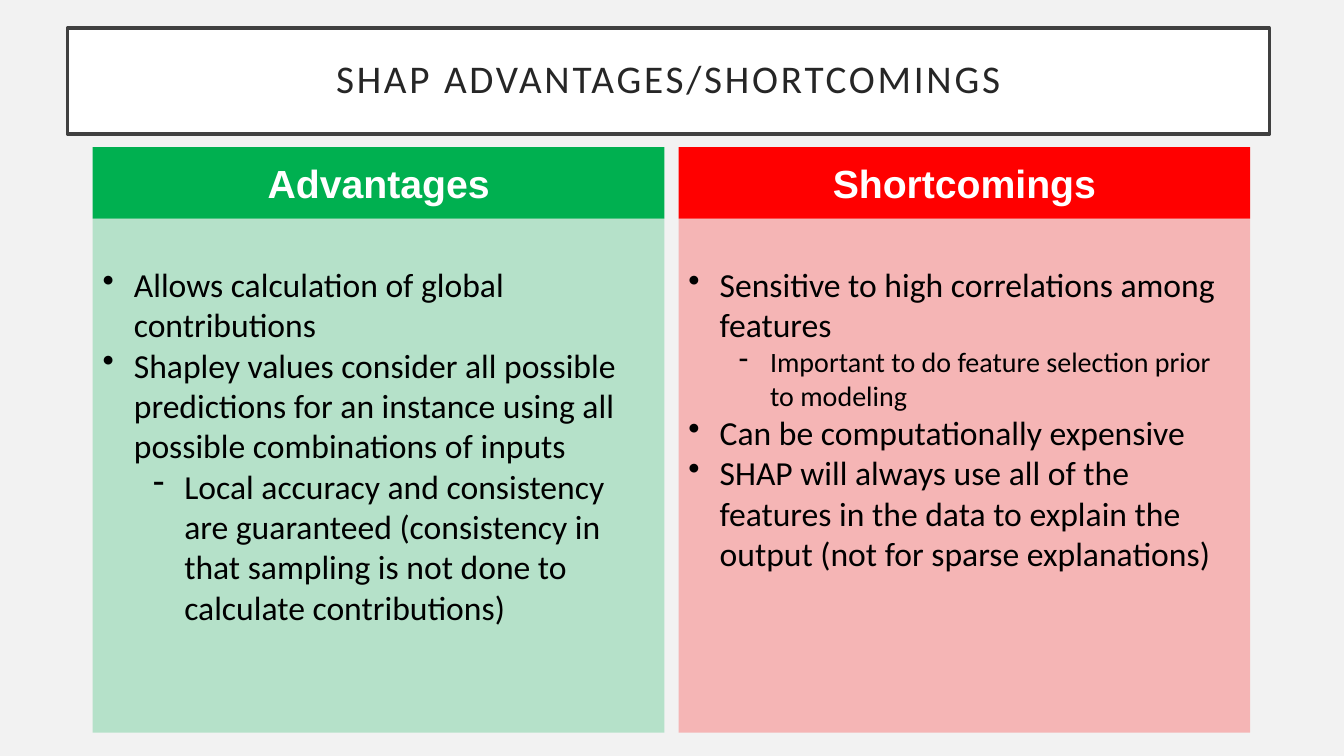
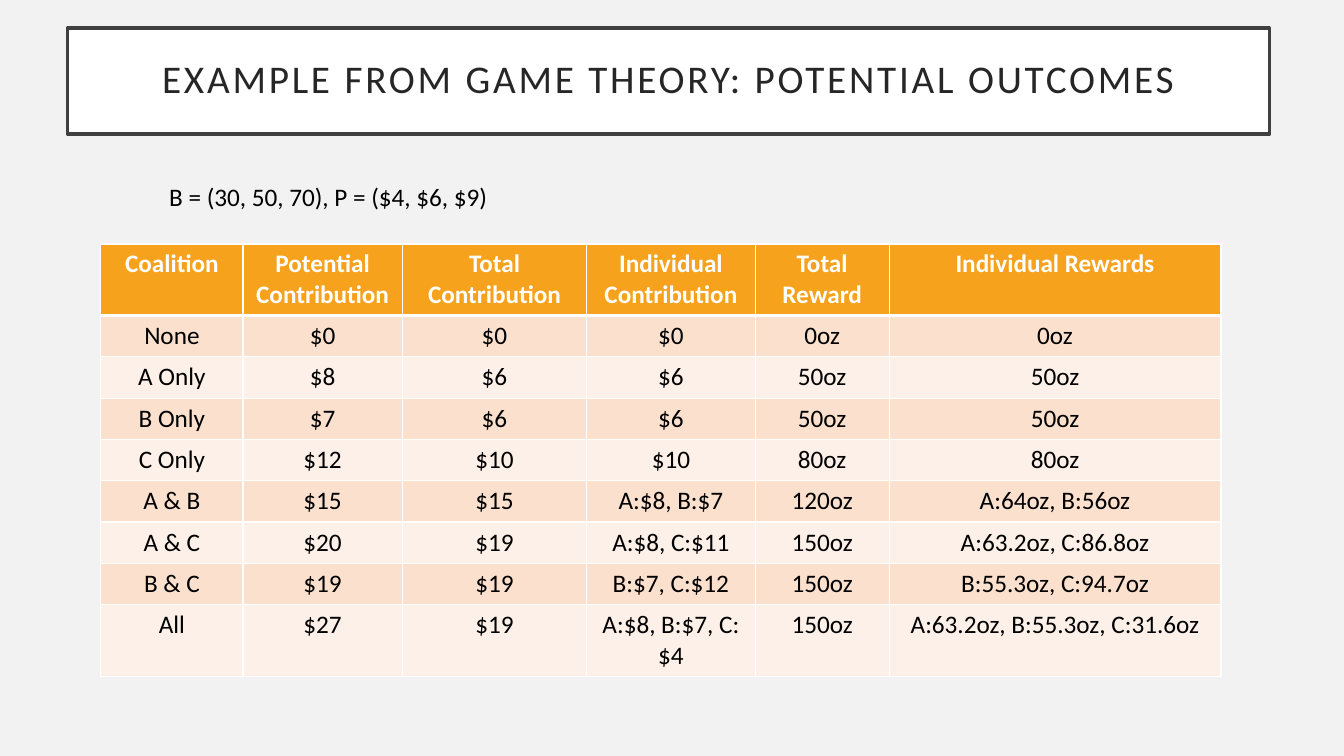
from dataclasses import dataclass
from typing import Any

from lxml.etree import SubElement
from pptx import Presentation
from pptx.dml.color import RGBColor
from pptx.enum.shapes import MSO_SHAPE
from pptx.enum.text import MSO_ANCHOR, PP_ALIGN
from pptx.oxml.ns import qn
from pptx.util import Inches, Pt

COLORS = {
    "background": "F2F2F2",
    "white": "FFFFFF",
    "black": "000000",
    "title": "262626",
    "frame": "404040",
    "advantage": "00B050",
    "shortcoming": "FF0000",
    "table_header": "F6A21D",
    "band_dark": "FBE0CD",
    "band_light": "FDF0E8",
}

TITLE_FONT = {"name": "Calibri", "size": Pt(28), "bold": False}
HEADING_FONT = {"name": "Arial", "size": Pt(28), "bold": True}
POINT_FONT = {"name": "Calibri", "size": Pt(24), "bold": False}
SMALL_POINT_FONT = POINT_FONT | {"size": Pt(20)}
CELL_FONT = {"name": "Calibri", "size": Pt(18), "bold": False}
HEADER_FONT = CELL_FONT | {"bold": True}

PANEL_LEFT, PANEL_WIDTH, PANEL_GAP = 0.92, 5.67, 0.14
HEADING_TOP, HEADING_HEIGHT, BODY_HEIGHT = 1.46, 0.71, 5.1

COLUMN_WIDTHS = (1.41, 1.58, 1.83, 1.67, 1.33, 3.29)
ROW_HEIGHT, TALL_ROW_HEIGHT = 0.41, 0.71
OUTCOMES = (
    ("Coalition", "Potential Contribution", "Total Contribution",
     "Individual Contribution", "Total Reward", "Individual Rewards"),
    ("None", "$0", "$0", "$0", "0oz", "0oz"),
    ("A Only", "$8", "$6", "$6", "50oz", "50oz"),
    ("B Only", "$7", "$6", "$6", "50oz", "50oz"),
    ("C Only", "$12", "$10", "$10", "80oz", "80oz"),
    ("A & B", "$15", "$15", "A:$8, B:$7", "120oz", "A:64oz, B:56oz"),
    ("A & C", "$20", "$19", "A:$8, C:$11", "150oz", "A:63.2oz, C:86.8oz"),
    ("B & C", "$19", "$19", "B:$7, C:$12", "150oz", "B:55.3oz, C:94.7oz"),
    ("All", "$27", "$19", "A:$8, B:$7, C:$4", "150oz",
     "A:63.2oz, B:55.3oz, C:31.6oz"),
)


@dataclass(frozen=True)
class Area:
    left: float
    top: float
    width: float
    height: float

    def lengths(self) -> tuple:
        return tuple(Inches(v) for v in (self.left, self.top, self.width, self.height))


@dataclass(frozen=True)
class Point:
    text: str
    level: int = 0
    small: bool = False


@dataclass(frozen=True)
class Panel:
    heading: str
    color: str
    points: tuple[Point, ...]


PANELS = (
    Panel("Advantages", "advantage", (
        Point("Allows calculation of global contributions"),
        Point("Shapley values consider all possible predictions for an instance "
              "using all possible combinations of inputs"),
        Point("Local accuracy and consistency are guaranteed (consistency in that "
              "sampling is not done to calculate contributions)", level=1),
    )),
    Panel("Shortcomings", "shortcoming", (
        Point("Sensitive to high correlations among features"),
        Point("Important to do feature selection prior to modeling", level=1, small=True),
        Point("Can be computationally expensive"),
        Point("SHAP will always use all of the features in the data to explain the "
              "output (not for sparse explanations)"),
    )),
)


def rgb(color: str) -> RGBColor:
    return RGBColor.from_string(COLORS[color])


def set_values(target: Any, values: dict[str, Any]) -> None:
    for name, value in values.items():
        setattr(target, name, value)


def write(para: Any, text: str, font: dict[str, Any], color: str,
          align: PP_ALIGN = PP_ALIGN.LEFT) -> Any:
    """Add a formatted span to the paragraph and return it."""
    para.alignment = align
    span = para.add_run()
    span.text = text
    set_values(span.font, font)
    span.font.color.rgb = rgb(color)
    return span


def add_box(page: Any, area: Area, color: str, opacity: int = 100) -> Any:
    """Add a borderless filled rectangle; opacity is a percentage."""
    box = page.shapes.add_shape(MSO_SHAPE.RECTANGLE, *area.lengths())
    box.shadow.inherit = False
    box.fill.solid()
    box.fill.fore_color.rgb = rgb(color)
    box.line.fill.background()
    if opacity < 100:
        fill_color = box._element.spPr.find(f"{qn('a:solidFill')}/{qn('a:srgbClr')}")
        SubElement(fill_color, qn("a:alpha"), val=str(opacity * 1000))
    box.text_frame.word_wrap = True
    box.text_frame.vertical_anchor = MSO_ANCHOR.MIDDLE
    return box


def add_page(deck: Any, title: str) -> Any:
    """Add a blank page with the shared background and framed title."""
    page = deck.slides.add_slide(deck.slide_layouts[6])
    page.background.fill.solid()
    page.background.fill.fore_color.rgb = rgb("background")
    box = add_box(page, Area(0.67, 0.28, 11.92, 1.05), "white")
    box.line.color.rgb = rgb("frame")
    box.line.width = Pt(2.5)
    sides = ("left", "top", "right", "bottom")
    set_values(box.text_frame, {f"margin_{side}": Inches(0.2) for side in sides})
    para = box.text_frame.paragraphs[0]
    para.line_spacing = 0.9
    span = write(para, title, TITLE_FONT, "title", PP_ALIGN.CENTER)
    span._r.get_or_add_rPr().set("spc", "200")
    return page


def write_point(para: Any, point: Point) -> None:
    font = SMALL_POINT_FONT if point.small else POINT_FONT
    write(para, point.text, font, "black")
    para.level = point.level
    properties = para._p.get_or_add_pPr()
    properties.set("marL", str(Inches(0.31 + 0.5 * point.level)))
    properties.set("indent", str(Inches(-0.31)))
    SubElement(properties, qn("a:buChar"), char="-" if point.level else "•")


def add_panel(page: Any, panel: Panel, left: float) -> None:
    body = Area(left, HEADING_TOP + HEADING_HEIGHT, PANEL_WIDTH, BODY_HEIGHT)
    frame = add_box(page, body, panel.color, opacity=25).text_frame
    set_values(frame, {"vertical_anchor": MSO_ANCHOR.TOP, "margin_top": Inches(0.45)})
    for index, point in enumerate(panel.points):
        write_point(frame.add_paragraph() if index else frame.paragraphs[0], point)
    heading = add_box(page, Area(left, HEADING_TOP, PANEL_WIDTH, HEADING_HEIGHT), panel.color)
    write(heading.text_frame.paragraphs[0], panel.heading, HEADING_FONT, "white",
          PP_ALIGN.CENTER)


def add_borders(cell: Any, widths: dict[str, int]) -> None:
    """Draw white cell borders; widths maps each side to points."""
    properties = cell._tc.get_or_add_tcPr()
    for side, width in widths.items():
        line = SubElement(properties, qn(f"a:ln{side}"), w=str(Pt(width)))
        fill = SubElement(line, qn("a:solidFill"))
        SubElement(fill, qn("a:srgbClr"), val=COLORS["white"])


def add_outcome_table(page: Any) -> None:
    last = len(OUTCOMES) - 1
    heights = [TALL_ROW_HEIGHT if row in (0, last) else ROW_HEIGHT
               for row in range(last + 1)]
    area = Area(1, 2.42, sum(COLUMN_WIDTHS), sum(heights))
    table = page.shapes.add_table(last + 1, len(COLUMN_WIDTHS), *area.lengths()).table
    for column, width in zip(table.columns, COLUMN_WIDTHS):
        column.width = Inches(width)
    for row, (values, height) in enumerate(zip(OUTCOMES, heights)):
        table.rows[row].height = Inches(height)
        font, color, fill = CELL_FONT, "black", "band_dark" if row % 2 else "band_light"
        if row == 0:
            font, color, fill = HEADER_FONT, "white", "table_header"
        widths = {"L": 1, "R": 1, "T": 3 if row == 1 else 1, "B": 3 if row == 0 else 1}
        for column, value in enumerate(values):
            cell = table.cell(row, column)
            add_borders(cell, widths)
            cell.fill.solid()
            cell.fill.fore_color.rgb = rgb(fill)
            write(cell.text_frame.paragraphs[0], value, font, color, PP_ALIGN.CENTER)


def add_comparison_page(deck: Any) -> None:
    page = add_page(deck, "SHAP ADVANTAGES/SHORTCOMINGS")
    for index, panel in enumerate(PANELS):
        add_panel(page, panel, PANEL_LEFT + index * (PANEL_WIDTH + PANEL_GAP))


def add_outcomes_page(deck: Any) -> None:
    page = add_page(deck, "EXAMPLE FROM GAME THEORY: POTENTIAL OUTCOMES")
    box = page.shapes.add_textbox(*Area(1.58, 1.75, 3.4, 0.4).lengths())
    box.text_frame.word_wrap = True
    write(box.text_frame.paragraphs[0], "B = (30, 50, 70), P = ($4, $6, $9)",
          CELL_FONT, "black")
    add_outcome_table(page)


def main() -> None:
    deck = Presentation()
    set_values(deck, {"slide_width": Inches(13.33), "slide_height": Inches(7.5)})
    add_comparison_page(deck)
    add_outcomes_page(deck)
    deck.save("out.pptx")


if __name__ == "__main__":
    main()
